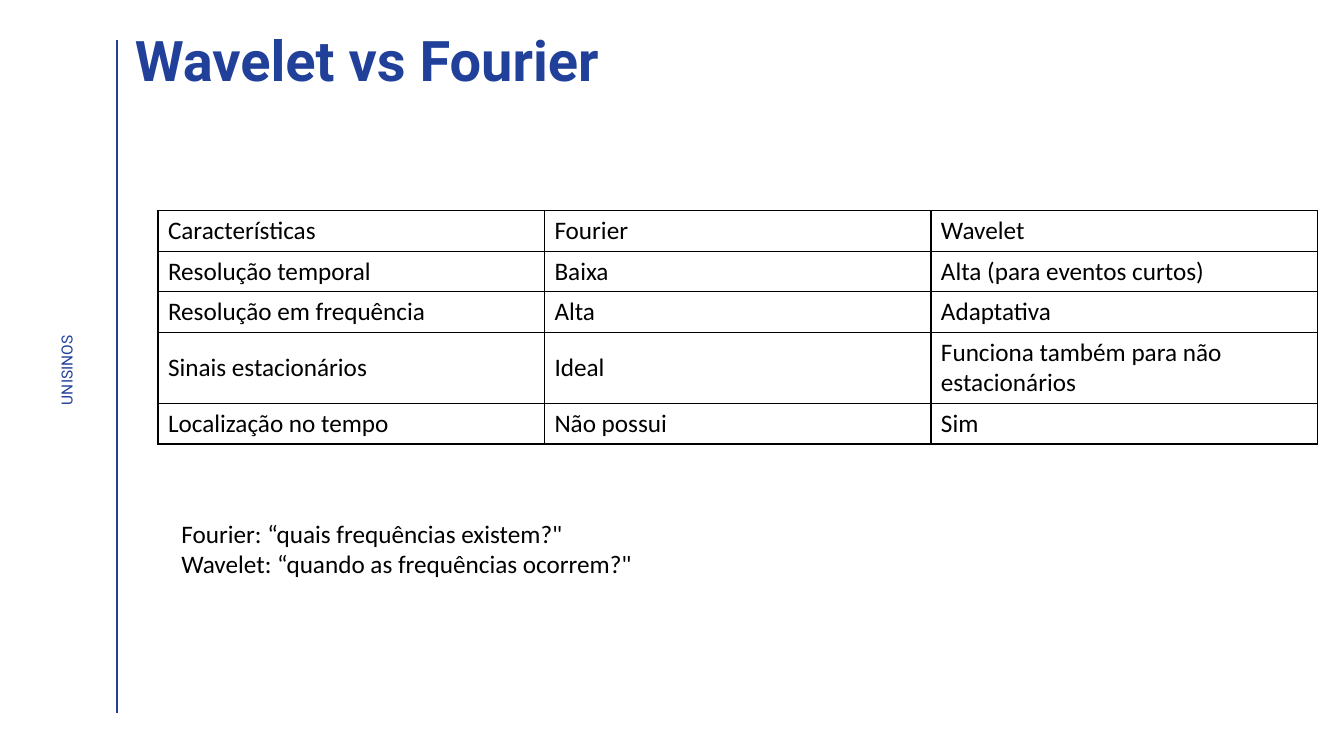
from dataclasses import dataclass

from lxml import etree
from pptx import Presentation
from pptx.dml.color import RGBColor
from pptx.enum.shapes import MSO_CONNECTOR
from pptx.enum.text import MSO_ANCHOR, PP_ALIGN
from pptx.oxml.ns import qn
from pptx.util import Cm, Pt

STRAIGHT = MSO_CONNECTOR.STRAIGHT
TOP, MIDDLE = MSO_ANCHOR.TOP, MSO_ANCHOR.MIDDLE
LEFT, CENTER = PP_ALIGN.LEFT, PP_ALIGN.CENTER


@dataclass(frozen=True)
class Theme:
    brand: str = "214099"
    ink: str = "000000"
    heading_font: str = "Roboto"
    body_font: str = "Calibri"
    title_size: int = 40
    body_size: int = 18
    label_size: int = 11
    line_width: int = 1


THEME = Theme()
ROWS = [
    ("Características", "Fourier", "Wavelet"),
    ("Resolução temporal", "Baixa", "Alta (para eventos curtos)"),
    ("Resolução em frequência", "Alta", "Adaptativa"),
    ("Sinais estacionários", "Ideal", "Funciona também para não estacionários"),
    ("Localização no tempo", "Não possui", "Sim"),
]
ROW_HEIGHTS = [1.02, 1.02, 1.02, 1.8, 1.02]
QUESTIONS = [
    'Fourier: “quais frequências existem?"',
    'Wavelet: “quando as frequências ocorrem?"',
]


def write_text(tf, lines, font=THEME.body_font, size=THEME.body_size,
               color=THEME.ink, bold=False, align=LEFT, spacing=1.0):
    tf.word_wrap = True
    for i, line in enumerate(lines):
        p = tf.add_paragraph() if i else tf.paragraphs[0]
        p.alignment = align
        p.line_spacing = spacing
        r = p.add_run()
        r.text = line
        r.font.name = font
        r.font.size = Pt(size)
        r.font.bold = bold
        r.font.color.rgb = RGBColor.from_string(color)


def add_text(slide, box, lines, **fmt):
    sp = slide.shapes.add_textbox(*(Cm(v) for v in box))
    sp.text_frame.vertical_anchor = TOP
    write_text(sp.text_frame, lines, **fmt)
    return sp


def add_sidebar(slide, left, top, width, height):
    label_length, label_height = 12.37, 0.74
    label_x = left + (width - label_length) / 2
    label_y = top + (height - label_height) / 2 - 0.16
    label = add_text(slide, (label_x, label_y, label_length, label_height),
                     ["UNISINOS"], font=THEME.heading_font, size=THEME.label_size,
                     color=THEME.brand, align=CENTER)
    label.rotation = 270
    x = Cm(left + width)
    rule = slide.shapes.add_connector(STRAIGHT, x, Cm(top), x, Cm(top + height))
    rule.line.color.rgb = RGBColor.from_string(THEME.brand)
    rule.line.width = Pt(THEME.line_width)
    etree.SubElement(rule._element.spPr, qn("a:effectLst"))


def add_title(slide, box, title):
    add_text(slide, box, [title], font=THEME.heading_font, size=THEME.title_size,
             color=THEME.brand, bold=True, spacing=0.9)


def set_borders(cell):
    tcPr = cell._tc.get_or_add_tcPr()
    for i, side in enumerate(("lnL", "lnR", "lnT", "lnB")):
        ln = etree.Element(qn(f"a:{side}"), w=str(Pt(THEME.line_width)))
        fill = etree.SubElement(ln, qn("a:solidFill"))
        etree.SubElement(fill, qn("a:srgbClr"), val=THEME.ink)
        tcPr.insert(i, ln)


def add_comparison(slide, left, top, width):
    cols = len(ROWS[0])
    frame = slide.shapes.add_table(len(ROWS), cols, Cm(left), Cm(top),
                                   Cm(width), Cm(sum(ROW_HEIGHTS)))
    table = frame.table
    table.first_row = False
    table.horz_banding = False
    for column in table.columns:
        column.width = Cm(width / cols)
    for row, height, texts in zip(table.rows, ROW_HEIGHTS, ROWS):
        row.height = Cm(height)
        for cell, text in zip(row.cells, texts):
            cell.fill.background()
            cell.vertical_anchor = MIDDLE
            write_text(cell.text_frame, [text])
            set_borders(cell)


def main():
    prs = Presentation()
    prs.slide_width, prs.slide_height = Cm(33.87), Cm(19.05)
    slide = prs.slides.add_slide(prs.slide_layouts[6])
    add_sidebar(slide, 0.43, 1.02, 2.52, 16.94)
    add_title(slide, (3.15, 0.71, 30.33, 1.57), "Wavelet vs Fourier")
    add_comparison(slide, 3.98, 5.31, 29.22)
    add_text(slide, (4.32, 12.93, 16.94, 1.8), QUESTIONS)
    prs.save("out.pptx")


if __name__ == "__main__":
    main()
